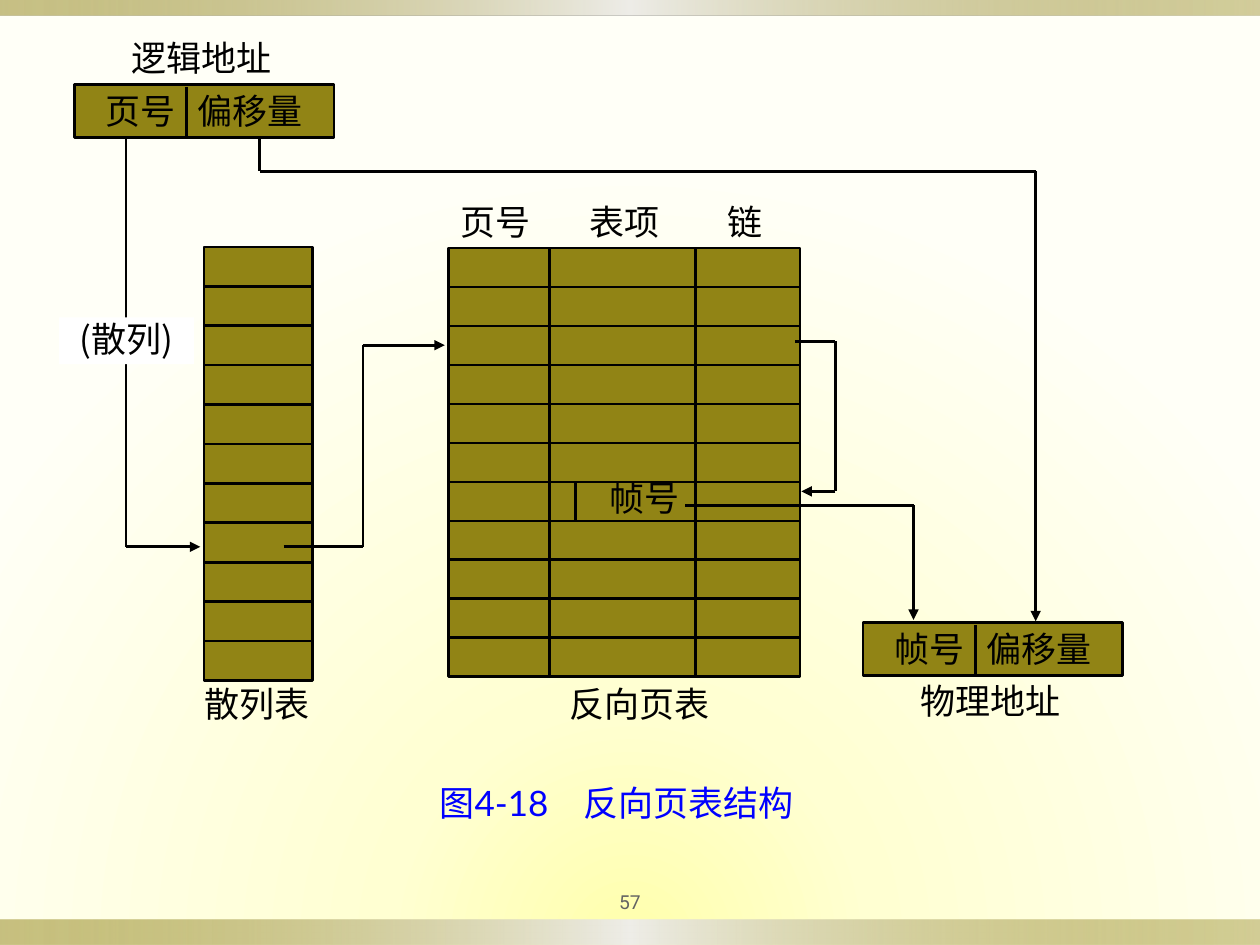
from lxml import etree
from pptx import Presentation
from pptx import util as u
from pptx.dml.color import RGBColor
from pptx.enum import shapes, text
from pptx.oxml import parse_xml
from pptx.oxml.ns import nsdecls, qn

OLIVE = RGBColor(0x91, 0x84, 0x15)
BLACK = RGBColor(0, 0, 0)
WHITE = RGBColor(255, 255, 255)
BLUE = RGBColor(0, 0, 255)
GRAY = RGBColor(0x63, 0x63, 0x63)
CJK = "Noto Sans CJK SC"
WIDTH, HEIGHT = 10, 7.5
ROWS = 11

BANDS = [(0, 0.12), (7.3, 0.2)]
BAND_STOPS = [(0, "918415", 50), (50, "EEEDE8", 100), (100, "918415", 40)]
PAGE_STOPS = [(0, "FFFFAC", 100), (31, "FFFFD2", 100), (100, "FFFFF7", 100)]
HASH_TABLE = (1.62, 1.96, 0.86, 3.44)
PAGE_TABLE = (3.56, 1.97, 2.79, 3.4)
PAGE_COLUMNS = [4.36, 5.52]
ADDRESSES = [("页号\t偏移量", 0.59, 0.67), ("帧号\t偏移量", 6.85, 4.94)]
LABELS = [
    ("逻辑地址", 0.77, 0.24, 1.66),
    ("页号", 3.53, 1.54, 0.81),
    ("表项", 4.55, 1.54, 0.81),
    ("链", 5.51, 1.54, 0.81),
    ("帧号", 4.62, 3.73, 0.99),
    ("散列表", 1.48, 5.37, 1.12),
    ("反向页表", 4.35, 5.37, 1.45),
    ("物理地址", 7.12, 5.34, 1.48),
]
ARROWS = [
    [(1, 1.1), (1, 4.34), (1.59, 4.34)],
    [(2.25, 4.34), (2.88, 4.34), (2.88, 2.74), (3.53, 2.74)],
    [(6.31, 2.71), (6.63, 2.71), (6.63, 3.9), (6.36, 3.9)],
    [(5.44, 4.01), (7.25, 4.01), (7.25, 4.92)],
    [(2.06, 1.1), (2.06, 1.36), (8.22, 1.36), (8.22, 4.93)],
]

presentation = Presentation()
presentation.slide_width, presentation.slide_height = u.Inches(WIDTH), u.Inches(HEIGHT)
slide = presentation.slides.add_slide(presentation.slide_layouts[5])


def inches(*lengths):
    return [u.Inches(length) for length in lengths]


def set_gradient(fill, stops, direction):
    fill.gradient()
    properties = fill._xPr
    stop_xml = "".join(
        f'<a:gs pos="{place * 1000}"><a:srgbClr val="{color}">'
        f'<a:alpha val="{alpha * 1000}"/></a:srgbClr></a:gs>'
        for place, color, alpha in stops)
    properties.replace(properties.find(qn("a:gradFill")), parse_xml(
        f'<a:gradFill {nsdecls("a")} rotWithShape="1"><a:gsLst>{stop_xml}</a:gsLst>'
        f'{direction}</a:gradFill>'))


def set_text(shape, words, color=BLACK, size=20, font="Lato",
             align=text.PP_ALIGN.CENTER, anchor=text.MSO_ANCHOR.TOP):
    frame = shape.text_frame
    frame.text = words
    frame.word_wrap = True
    frame.auto_size = text.MSO_AUTO_SIZE.NONE
    frame.vertical_anchor = anchor
    paragraph = frame.paragraphs[0]
    paragraph.alignment = align
    for run in paragraph.runs:
        run.font.size, run.font.name = u.Pt(size), font
        run.font.color.rgb = color
        etree.SubElement(run.font._element, qn("a:ea")).set("typeface", CJK)
    return frame


def add_box(kind, place, color=None, outlined=True):
    shape = slide.shapes.add_shape(kind, *inches(*place))
    shape.shadow.inherit = False
    if color is not None:
        shape.fill.solid()
        shape.fill.fore_color.rgb = color
    if outlined:
        shape.line.color.rgb, shape.line.width = BLACK, u.Pt(1.5)
    else:
        shape.line.fill.background()
    return shape


def add_line(start, end, arrow=False):
    line = slide.shapes.add_connector(shapes.MSO_CONNECTOR.STRAIGHT, *inches(*start, *end))
    line.line.color.rgb, line.line.width = BLACK, u.Pt(1.5)
    if arrow:
        etree.SubElement(line.line._get_or_add_ln(), qn("a:tailEnd")).set("type", "triangle")
    etree.SubElement(line._element.spPr, qn("a:effectLst"))


def add_grid(place, columns=()):
    left, top, width, height = place
    add_box(shapes.MSO_SHAPE.FLOWCHART_PROCESS, place, OLIVE)
    for x in columns:
        add_line((x, top), (x, top + height))
    for row in range(1, ROWS):
        y = top + row * height / ROWS
        add_line((left, y), (left + width, y))


def add_address(words, left, top):
    box = add_box(shapes.MSO_SHAPE.FLOWCHART_PROCESS, (left, top, 2.06, 0.42), OLIVE)
    frame = set_text(box, words, align=text.PP_ALIGN.LEFT, anchor=text.MSO_ANCHOR.MIDDLE)
    frame.margin_left, frame.margin_right = inches(0.25, 0)
    tabs = etree.SubElement(frame.paragraphs[0]._p.get_or_add_pPr(), qn("a:tabLst"))
    etree.SubElement(tabs, qn("a:tab"), pos=str(u.Inches(0.73)), algn="l")
    add_line((left + 0.89, top + 0.02), (left + 0.89, top + 0.42))


set_gradient(slide.background.fill, PAGE_STOPS,
             '<a:path path="circle"><a:fillToRect l="50000" t="150000" r="50000"/></a:path>')
for top, height in BANDS:
    band = add_box(shapes.MSO_SHAPE.RECTANGLE, (0, top, WIDTH, height), outlined=False)
    set_gradient(band.fill, BAND_STOPS, '<a:lin ang="0" scaled="0"/>')

add_grid(HASH_TABLE)
add_grid(PAGE_TABLE, PAGE_COLUMNS)
frame_row = [PAGE_TABLE[1] + row * PAGE_TABLE[3] / ROWS for row in (6, 7)]
add_line((4.57, frame_row[0]), (4.57, frame_row[1]))
for address in ADDRESSES:
    add_address(*address)

for points in ARROWS:
    for index, (start, end) in enumerate(zip(points, points[1:]), 2):
        add_line(start, end, index == len(points))

for words, left, top, width in LABELS:
    set_text(slide.shapes.add_textbox(*inches(left, top, width, 0.43)), words)

hashing = add_box(shapes.MSO_SHAPE.RECTANGLE, (0.47, 2.52, 1.07, 0.37), WHITE, outlined=False)
frame = set_text(hashing, "(散列)", font=CJK)
frame.margin_left, frame.margin_top, frame.margin_right, frame.margin_bottom = inches(
    0.06, 0, 0.06, 0)

caption = slide.shapes.title
caption.left, caption.top, caption.width, caption.height = inches(3.12, 6.15, 3.55, 0.43)
set_text(caption, "图4-18\u3000反向页表结构", BLUE)

number = slide.shapes.add_textbox(*inches(4.5, 7, 1, 0.31))
set_text(number, "57", GRAY, 11, "Roboto", anchor=text.MSO_ANCHOR.MIDDLE)

presentation.save("out.pptx")
